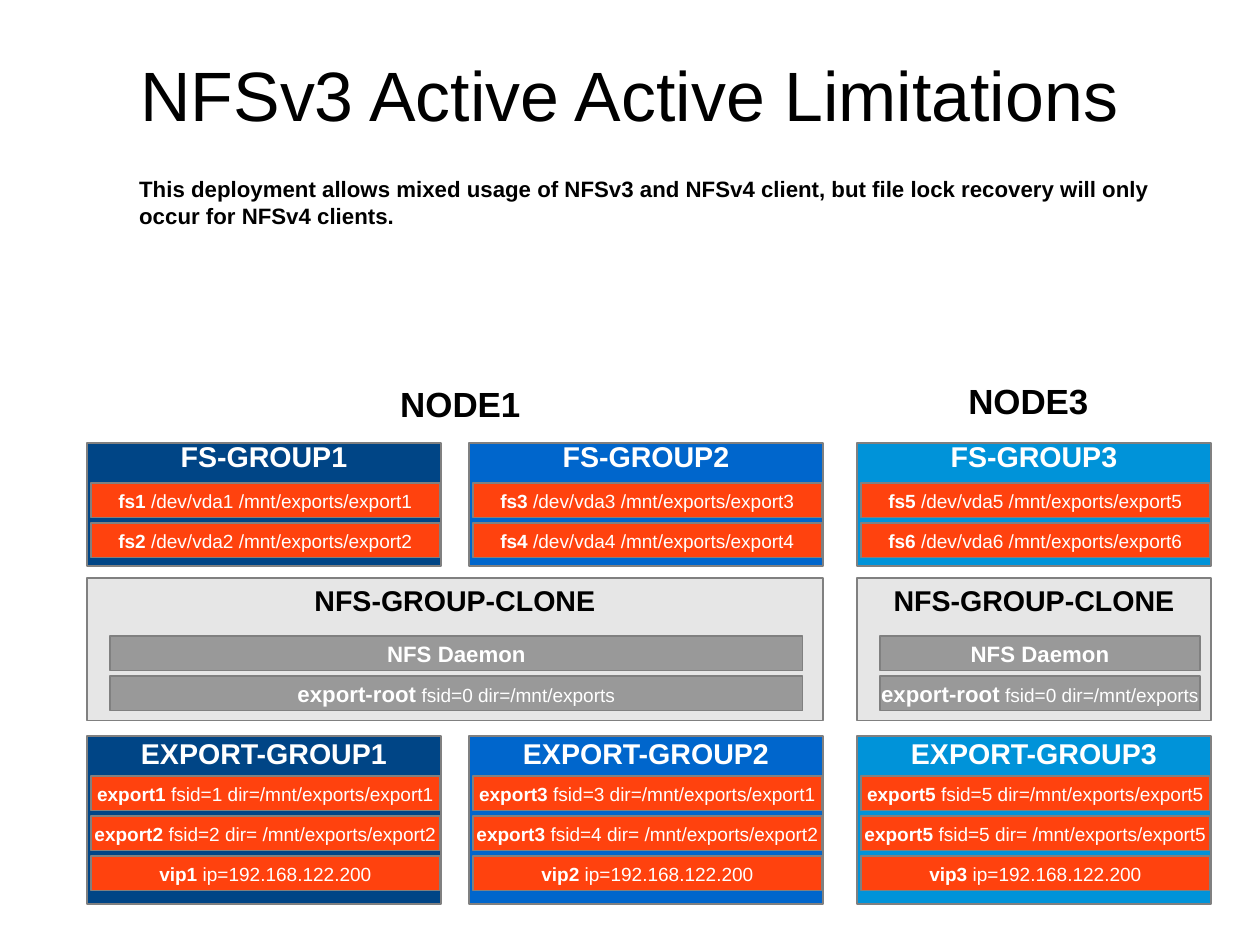
from pptx import Presentation
from pptx.dml.color import RGBColor
from pptx.enum.shapes import MSO_SHAPE
from pptx.enum.text import MSO_ANCHOR, PP_ALIGN
from pptx.util import Emu, Pt

SCALE = 8000  # EMU per pixel
COLORS = {
    "black": "000000", "white": "FFFFFF", "outline": "808080",
    "navy": "004586", "blue": "0066CC", "sky": "0093D9",
    "orange": "FF420E", "pale": "E6E6E6", "gray": "999999",
}


def color(name):
    """Return the named colour."""
    return RGBColor.from_string(COLORS[name])


def px(*lengths):
    """Turn pixels into EMU."""
    return [Emu(length * SCALE) for length in lengths]


def apply(target, values):
    """Set attributes from a dict of format values."""
    for name, value in values.items():
        setattr(target, name, value)


class SlideBuilder:
    """Holds the style and the current slide."""

    font = "Arial"

    def __init__(self, deck):
        """Add a title-only slide to the deck."""
        self.slide = deck.slides.add_slide(deck.slide_layouts[5])

    def set_text(self, shape, spans, ink, align, **frame_format):
        """Fill a shape with spans of (text, size, bold)."""
        frame = shape.text_frame
        apply(frame, frame_format)
        para = frame.paragraphs[0]
        para.alignment = align
        for text, size, bold in spans:
            span = para.add_run()
            span.text = text
            apply(span.font, {"name": self.font, "size": Pt(size), "bold": bold})
            span.font.color.rgb = color(ink)

    def title(self, text, place):
        """Place and format the title."""
        box = self.slide.shapes.title
        apply(box, dict(zip(("left", "top", "width", "height"), px(*place))))
        self.set_text(box, [(text, 44, False)], "black", PP_ALIGN.CENTER,
                      vertical_anchor=MSO_ANCHOR.MIDDLE, margin_left=0,
                      margin_right=0, margin_top=0, margin_bottom=0)

    def label(self, text, size, place):
        """Add a bold text box."""
        box = self.slide.shapes.add_textbox(*px(*place))
        self.set_text(box, [(text, size, True)], "black", PP_ALIGN.LEFT, word_wrap=True)

    def block(self, spans, place, fill, ink="white", **frame_format):
        """Add an outlined rectangle with centred text."""
        box = self.slide.shapes.add_shape(MSO_SHAPE.RECTANGLE, *px(*place))
        box.shadow.inherit = False
        box.fill.solid()
        box.fill.fore_color.rgb = color(fill)
        box.line.color.rgb = color("outline")
        box.line.width = Pt(0)
        self.set_text(box, spans, ink, PP_ALIGN.CENTER, word_wrap=False,
                      **{"vertical_anchor": MSO_ANCHOR.MIDDLE, **frame_format})

    def panel(self, heading, place, fill, inset, ink="white"):
        """Add a rectangle with its heading at the top."""
        self.block([(heading, 18, True)], place, fill, ink,
                   vertical_anchor=MSO_ANCHOR.TOP, margin_top=px(inset)[0])

    def bars(self, rows, left, top, width, fill):
        """Stack bars at an equal pitch."""
        for index, spans in enumerate(rows):
            self.block(spans, (left, top + index * BAR_PITCH, width, BAR_HEIGHT), fill)


GROUP_WIDTH, BAR_HEIGHT, BAR_PITCH = 354, 35, 40
# left, fill, file system rows, export rows
GROUPS = [
    (87, "navy",
     [("fs1", " /dev/vda1 /mnt/exports/export1"),
      ("fs2", " /dev/vda2 /mnt/exports/export2")],
     [("export1", " fsid=1 dir=/mnt/exports/export1"),
      ("export2", " fsid=2 dir= /mnt/exports/export2")]),
    (469, "blue",
     [("fs3", " /dev/vda3 /mnt/exports/export3"),
      ("fs4", " /dev/vda4 /mnt/exports/export4")],
     [("export3", " fsid=3 dir=/mnt/exports/export1"),
      ("export3", " fsid=4 dir= /mnt/exports/export2")]),
    (857, "sky",
     [("fs5", " /dev/vda5 /mnt/exports/export5"),
      ("fs6", " /dev/vda6 /mnt/exports/export6")],
     [("export5", " fsid=5 dir=/mnt/exports/export5"),
      ("export5", " fsid=5 dir= /mnt/exports/export5")]),
]
# heading prefix, top, height, heading inset
STACKS = [("FS-GROUP", 443, 123, -4), ("EXPORT-GROUP", 736, 168, 0)]
# panel left, panel width, bar left, bar width
CLONES = [(87, 736, 110, 693), (857, GROUP_WIDTH, 880, 320)]
DAEMON_ROWS = [
    [("NFS Daemon", 14, True)],
    [("export-root", 14, True), (" fsid=0 dir=/mnt/exports", 12, False)],
]

deck = Presentation()
deck.slide_width, deck.slide_height = px(1260, 945)
page = SlideBuilder(deck)
page.title("NFSv3 Active Active Limitations", (63, 38, 1134, 111))
page.label("This deployment allows mixed usage of NFSv3 and NFSv4 client, "
           "but file lock recovery will only occur for NFSv4 clients.",
           14, (128, 170, 1063, 184))
page.label("NODE1", 22, (389, 377, 149, 63))
page.label("NODE3", 22, (957, 374, 149, 63))

for number, (left, fill, systems, exports) in enumerate(GROUPS, 1):
    address = (f"vip{number}", " ip=192.168.122.200")
    for (prefix, top, height, inset), rows in zip(STACKS, (systems, exports + [address])):
        page.panel(f"{prefix}{number}", (left, top, GROUP_WIDTH, height), fill, inset)
        spans = [[(name, 12, True), (detail, 12, False)] for name, detail in rows]
        page.bars(spans, left + 4, top + 40, 349, "orange")

for left, width, bar_left, bar_width in CLONES:
    page.panel("NFS-GROUP-CLONE", (left, 578, width, 143), "pale", 5, "black")
    page.bars(DAEMON_ROWS, bar_left, 636, bar_width, "gray")

deck.save("out.pptx")
